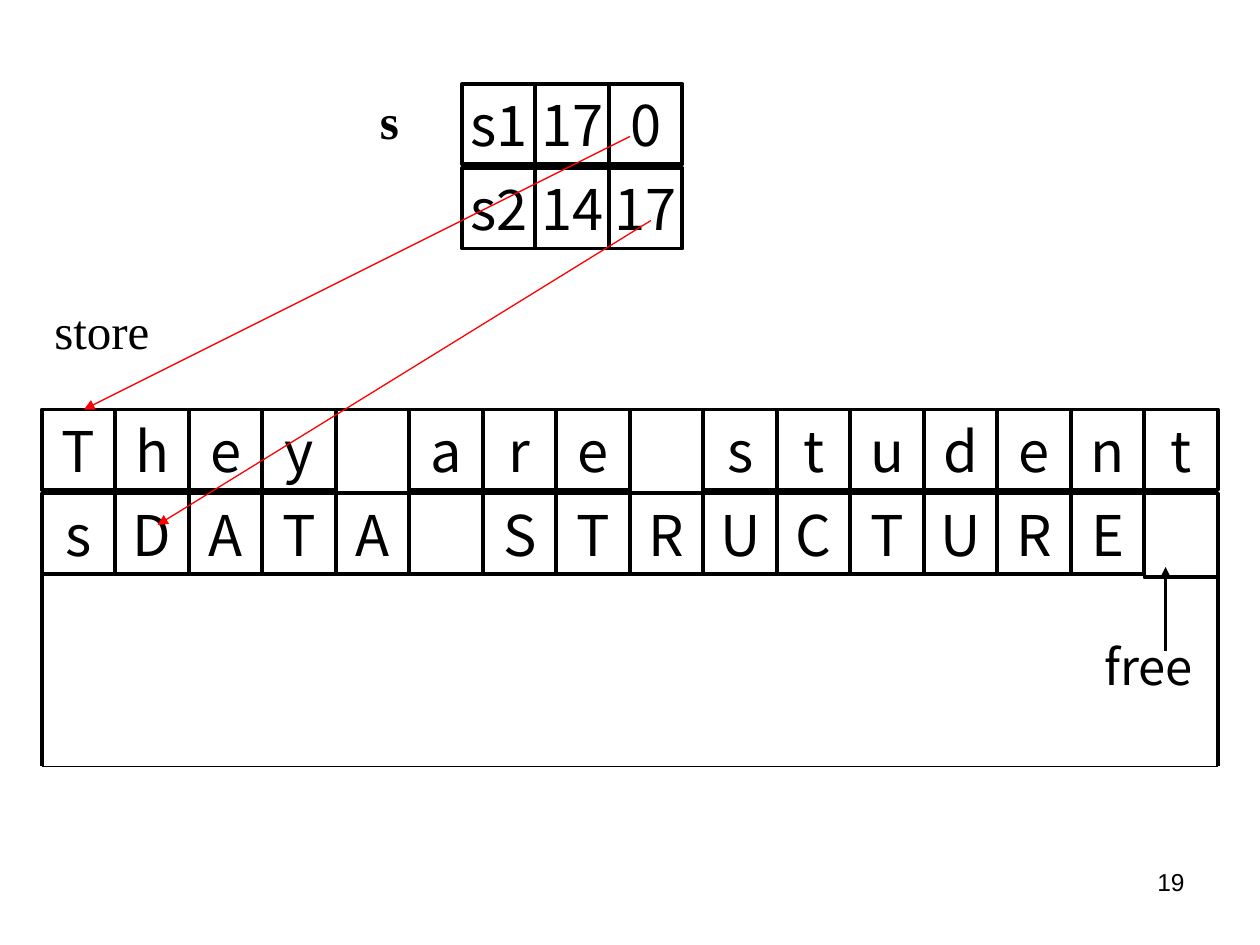
from lxml import etree
from pptx import Presentation
from pptx.dml.color import RGBColor
from pptx.enum.shapes import MSO_CONNECTOR, MSO_SHAPE
from pptx.enum.text import MSO_ANCHOR, PP_ALIGN
from pptx.oxml.ns import qn
from pptx.util import Pt

BLACK = RGBColor(0x00, 0x00, 0x00)
RED = RGBColor(0xFF, 0x00, 0x00)
RECT = MSO_SHAPE.RECTANGLE
LINE = MSO_CONNECTOR.STRAIGHT
LEFT, CENTER, RIGHT = PP_ALIGN.LEFT, PP_ALIGN.CENTER, PP_ALIGN.RIGHT
TOP, MIDDLE, BOTTOM = MSO_ANCHOR.TOP, MSO_ANCHOR.MIDDLE, MSO_ANCHOR.BOTTOM
SANS, SERIF = "Noto Sans CJK SC", "Times New Roman"

CELL_W, CELL_H, ROW_H = 42, 46, 48
HEADS = [["s1", "17", "0"], ["s2", "14", "17"]]
CHARS = [
    [*"They", None, *"are", None, *"student"],
    [*"sDATA", "", *"STRUCTURE", None],
]


def write(shape, text, size, font, align, anchor, side, bold=False):
    """Put one formatted line of text in a shape."""
    frame = shape.text_frame
    form = {
        "word_wrap": True,
        "vertical_anchor": anchor,
        "margin_left": Pt(side),
        "margin_right": Pt(side),
        "margin_top": Pt(3.6),
        "margin_bottom": Pt(3.6),
    }
    for name, value in form.items():
        setattr(frame, name, value)
    para = frame.paragraphs[0]
    para.alignment = align
    run = para.add_run()
    run.text = text
    for name, value in {"name": font, "size": Pt(size), "bold": bold}.items():
        setattr(run.font, name, value)
    run.font.color.rgb = BLACK


def label(slide, text, box, size=28, font=SERIF, align=LEFT, anchor=BOTTOM, bold=False):
    """Add a text box."""
    shape = slide.shapes.add_textbox(*map(Pt, box))
    write(shape, text, size, font, align, anchor, 7.2, bold)


def line(slide, start, end, color=BLACK, width=2.25, arrow=False):
    """Draw a straight line, with an arrowhead at its end if asked."""
    item = slide.shapes.add_connector(LINE, *map(Pt, (*start, *end)))
    item.line.color.rgb = color
    item.line.width = Pt(width)
    if arrow:
        etree.SubElement(item.line._get_or_add_ln(), qn("a:tailEnd"), type="triangle")
    etree.SubElement(item._element.spPr, qn("a:effectLst"))


def grid(slide, left, top, rows):
    """Draw rows of boxed cells; a cell of None is empty and fills the row height."""
    for i, row in enumerate(rows):
        for j, text in enumerate(row):
            high = ROW_H if text is None else CELL_H
            box = (left + j * CELL_W, top + i * ROW_H, CELL_W, high)
            cell = slide.shapes.add_shape(RECT, *map(Pt, box))
            cell.shadow.inherit = False
            cell.fill.background()
            cell.line.color.rgb = BLACK
            cell.line.width = Pt(2.25)
            if text:
                write(cell, text, 32, SANS, CENTER, MIDDLE, 0)


def heads(slide, left, top):
    """Draw the string table with its name."""
    grid(slide, left + 54, top, HEADS)
    label(slide, "s", (left, top, 42, 41), bold=True)


def store(slide, left, top):
    """Draw the character store with its name, free space and free pointer."""
    label(slide, "store", (left, top, 138, 41))
    grid(slide, left, top + 66, CHARS)
    right, base = left + 16 * CELL_W, top + 270
    for x in (left, right):
        line(slide, (x, base - 120), (x, base))
    line(slide, (left, base), (right, base), width=0.75)
    line(slide, (right - 30, base - 66), (right - 30, base - 114), arrow=True)
    label(slide, "free", (right - 72, base - 78, 84, 41), font=SANS, anchor=MIDDLE)


def main():
    """Build and save the slide."""
    deck = Presentation()
    deck.slide_width, deck.slide_height = Pt(720), Pt(540)
    slide = deck.slides.add_slide(deck.slide_layouts[6])
    heads(slide, 210, 48)
    store(slide, 24, 168)
    for start, end in [((360, 78), (48, 234)), ((372, 126), (90, 300))]:
        line(slide, start, end, RED, 0.75, True)
    label(slide, "19", (516, 492, 168, 37.5), 14, "Arial", RIGHT, TOP)
    deck.save("out.pptx")


if __name__ == "__main__":
    main()
